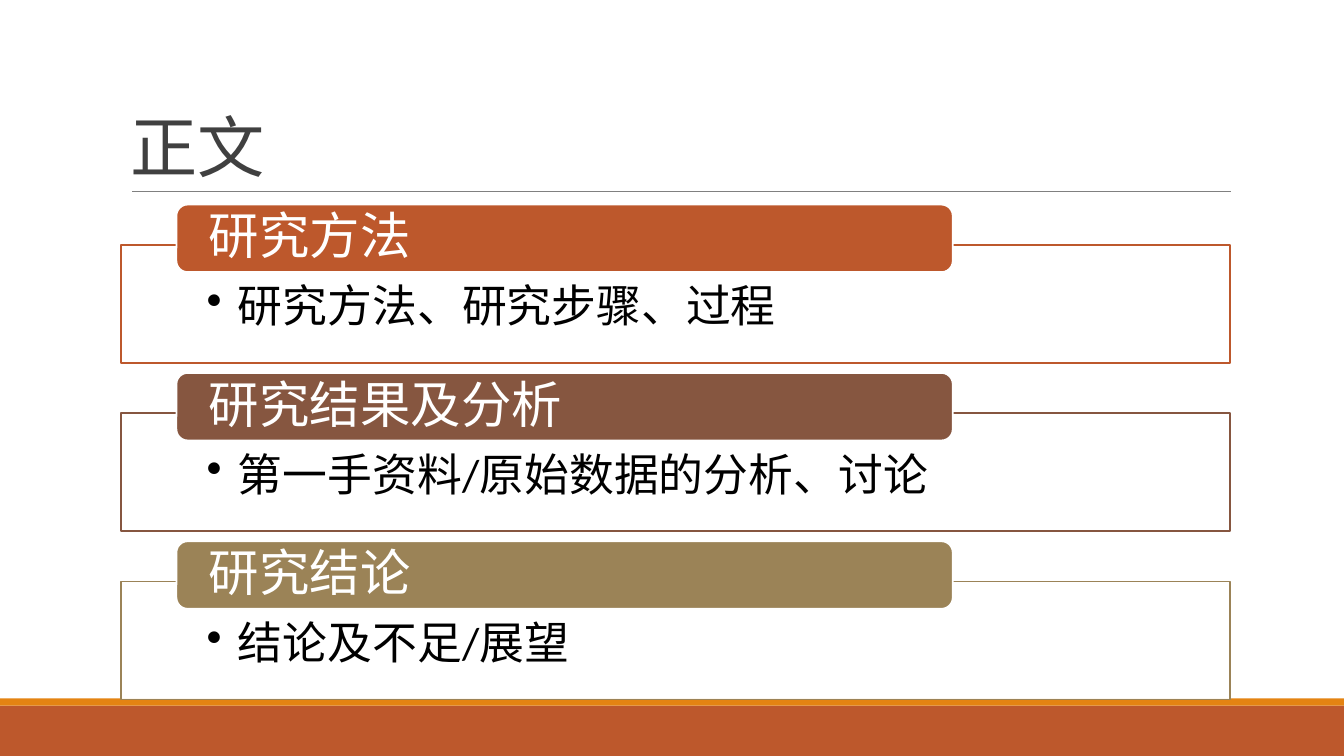
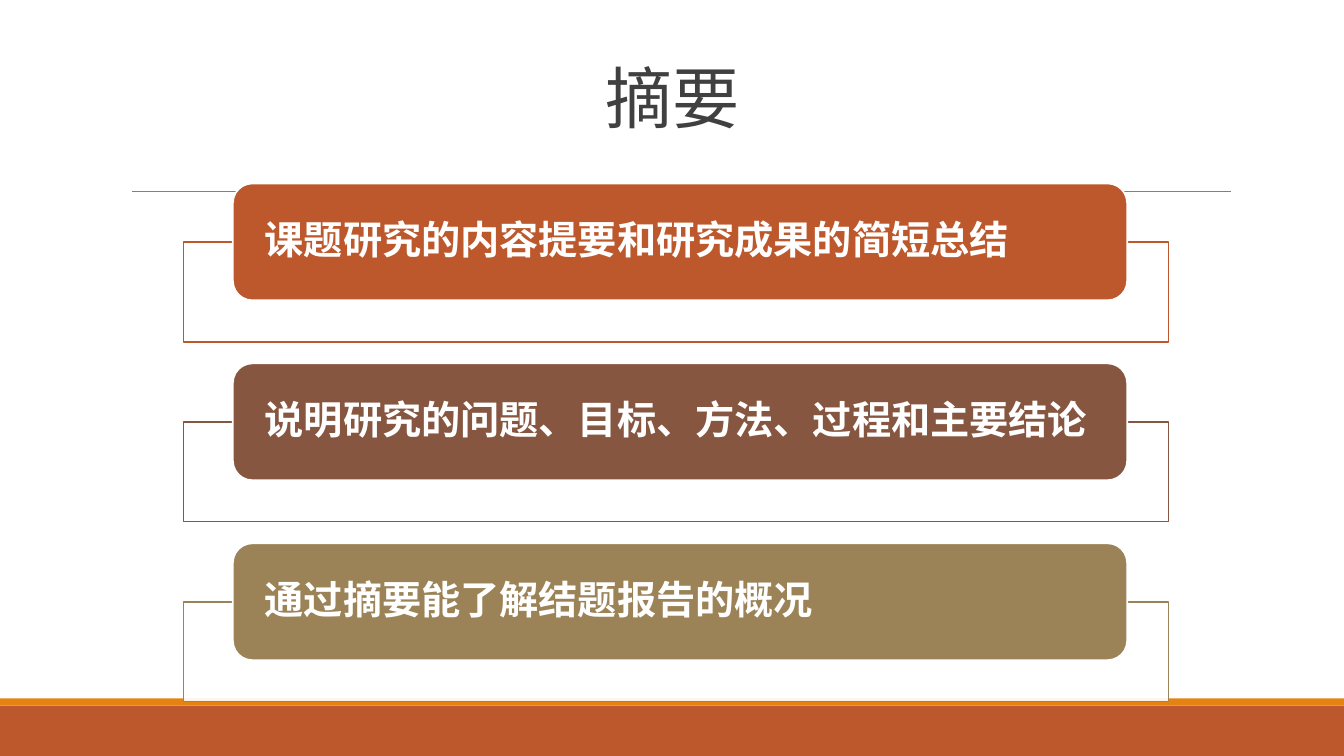
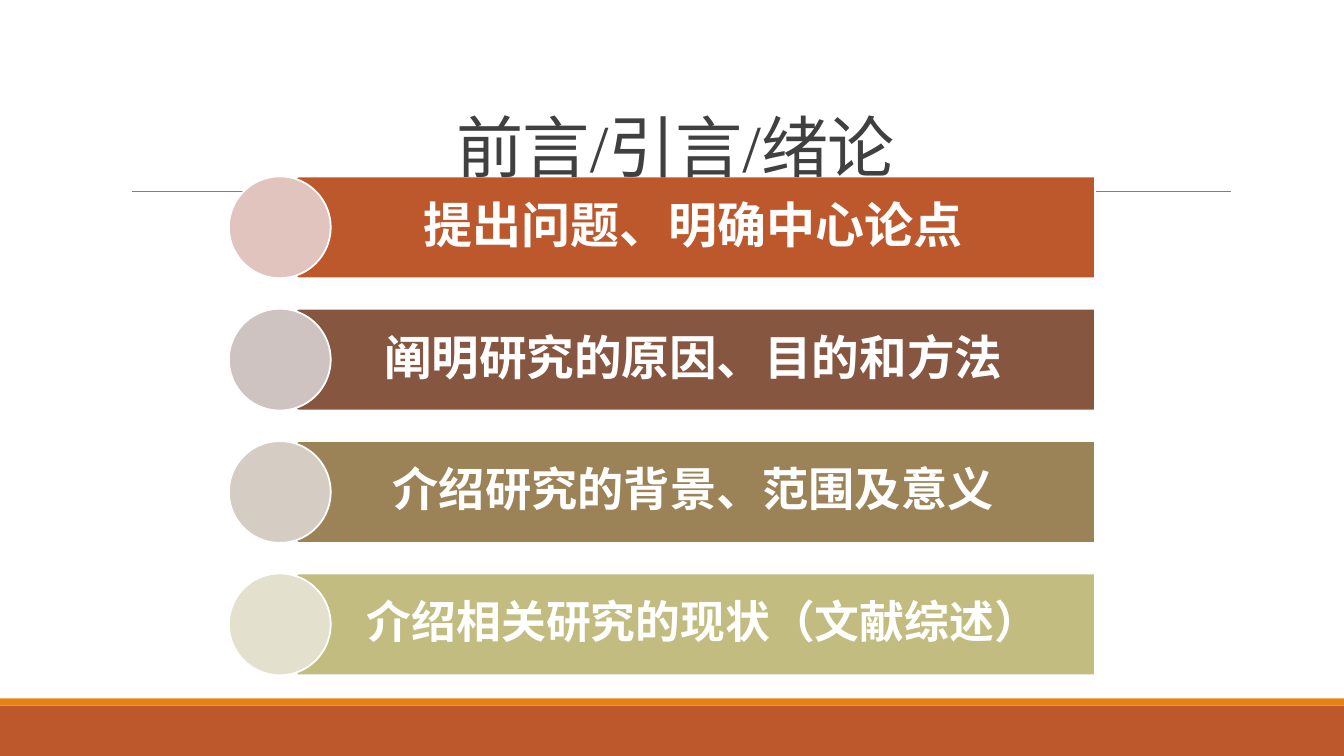
from lxml import etree
from pptx import Presentation
from pptx.dml.color import RGBColor
from pptx.enum import shapes as sh, text as tx
from pptx.oxml.ns import qn
from pptx.util import Inches, Pt

RUST, BROWN, TAN, OLIVE = "BD582C", "865640", "9B8357", "C2BC80"
ORANGE, GRAY, DARK, WHITE, BLACK = "E48312", "808080", "404040", "FFFFFF", "000000"
SHAPE = sh.MSO_SHAPE
LEFT, CENTER = tx.PP_ALIGN.LEFT, tx.PP_ALIGN.CENTER
TOP, MIDDLE, BOTTOM = tx.MSO_ANCHOR.TOP, tx.MSO_ANCHOR.MIDDLE, tx.MSO_ANCHOR.BOTTOM


def rgb(code):
    return RGBColor.from_string(code)


def inches(box):
    return [Inches(n) for n in box]


def add_shape(slide, kind, box, fill, line=None, alpha=None):
    shape = slide.shapes.add_shape(kind, *inches(box))
    shape.shadow.inherit = False
    shape.fill.solid()
    shape.fill.fore_color.rgb = rgb(fill)
    if alpha:
        color = shape.fill._xPr.find(qn("a:solidFill"))[0]
        etree.SubElement(color, qn("a:alpha"), val=str(alpha * 1000))
    if line:
        shape.line.color.rgb = rgb(line)
        shape.line.width = Pt(1.25)
    else:
        shape.line.fill.background()
    return shape


def write(shape, words, size, color=WHITE, font="Calibri", bold=False, align=LEFT,
          anchor=MIDDLE, inset=(0.1, 0.05, 0.1, 0.05), lead=0.9, track=0, bullet=0):
    """Fill a shape with one paragraph; bullet is its hanging indent in inches."""
    frame = shape.text_frame
    frame.word_wrap = True
    frame.vertical_anchor = anchor
    (frame.margin_left, frame.margin_top,
     frame.margin_right, frame.margin_bottom) = inches(inset)
    para = frame.paragraphs[0]
    para.alignment = align
    para.line_spacing = lead
    if bullet:
        props = para._p.get_or_add_pPr()
        props.set("marL", str(Inches(bullet)))
        props.set("indent", str(-Inches(bullet)))
        etree.SubElement(props, qn("a:buChar"), char="•")
    run = para.add_run()
    run.text = words
    run.font.size = Pt(size)
    run.font.name = font
    run.font.bold = bold
    run.font.color.rgb = rgb(color)
    if track:
        run._r.get_or_add_rPr().set("spc", str(int(track * 100)))


def add_text(slide, box, words, size, **style):
    write(slide.shapes.add_textbox(*inches(box)), words, size, **style)


def add_title(slide, words, box=(1.2, 0.31, 11, 1.59), align=CENTER):
    add_text(slide, box, words, 48, color=DARK, font="Times New Roman",
             align=align, anchor=BOTTOM, lead=0.85, track=-0.5)


def add_base(deck):
    """Add a blank slide with the footer bands and the title rule."""
    slide = deck.slides.add_slide(deck.slide_layouts[6])
    add_shape(slide, SHAPE.RECTANGLE, (0, 7, 13.33, 0.5), RUST)
    add_shape(slide, SHAPE.RECTANGLE, (0, 6.93, 13.33, 0.07), ORANGE)
    rule = slide.shapes.add_connector(
        sh.MSO_CONNECTOR.STRAIGHT, *inches((1.31, 1.9, 12.21, 1.9)))
    rule.line.color.rgb = rgb(GRAY)
    rule.line.width = Pt(0.5)
    etree.SubElement(rule._element.spPr, qn("a:effectLst"))
    return slide


def add_panel(slide, box, tab, color, head, size, pad, bold=False, note=None):
    """Draw an outlined box with a filled tab; tab is placed from the box corner."""
    left, top = box[:2]
    frame = add_shape(slide, SHAPE.RECTANGLE, box, WHITE, color, alpha=90)
    if note:
        write(frame, note, 32, color=BLACK, anchor=TOP,
              inset=(0.85, 0.39, 0.85, 0.25), bullet=0.31)
    dx, dy, wide, high = tab
    label = add_shape(slide, SHAPE.ROUNDED_RECTANGLE,
                      (left + dx, top + dy, wide, high), color, WHITE)
    write(label, head, size, bold=bold, inset=(pad, 0, pad, 0))


def add_arrow(slide, box, color, tint, words, size, shift):
    """Draw a bar pointing left with a disc over its tip."""
    left, top, wide, high = box
    bar = add_shape(slide, SHAPE.PENTAGON, (left + 0.18, top, wide - 0.18, high), color, WHITE)
    bar.rotation = 180
    add_text(slide, (left + 0.43, top, wide - 0.43, high), words, size, bold=True,
             align=CENTER, inset=(0.45 + shift, 0.14, 0.26, 0.14))
    add_shape(slide, SHAPE.OVAL, (left, top, high, high), tint, WHITE)


def body_slide(deck):
    slide = add_base(deck)
    add_title(slide, "正文", align=LEFT)
    rows = [
        (RUST, "研究方法", "研究方法、研究步骤、过程"),
        (BROWN, "研究结果及分析", "第一手资料/原始数据的分析、讨论"),
        (TAN, "研究结论", "结论及不足/展望"),
    ]
    for i, (color, head, note) in enumerate(rows):
        add_panel(slide, (1.2, 2.43 + 1.67 * i, 11, 1.17), (0.55, -0.4, 7.7, 0.67),
                  color, head, 36, 0.29, note=note)


def summary_slide(deck):
    slide = add_base(deck)
    rows = [
        (RUST, "课题研究的内容提要和研究成果的简短总结"),
        (BROWN, "说明研究的问题、目标、方法、过程和主要结论"),
        (TAN, "通过摘要能了解结题报告的概况"),
    ]
    for i, (color, head) in enumerate(rows):
        add_panel(slide, (1.82, 2.4 + 1.785 * i, 9.77, 0.99), (0.49, -0.58, 8.87, 1.16),
                  color, head, 28, 0.26, bold=True)
    add_title(slide, "摘要", box=(2.17, 0.16, 9, 1.25))


def intro_slide(deck):
    slide = add_base(deck)
    rows = [
        (RUST, "E1C4BE", "提出问题、明确中心论点", 35, 0),
        (BROWN, "CEC3C0", "阐明研究的原因、目的和方法", 34, 0),
        (TAN, "D5CDC3", "介绍研究的背景、范围及意义", 33, 0),
        (OLIVE, "E3E1CD", "介绍相关研究的现状（文献综述）", 32, 0.2),
    ]
    for i, row in enumerate(rows):
        add_arrow(slide, (2.27, 1.75 + 1.313 * i, 8.59, 1.01), *row)
    add_title(slide, "前言/引言/绪论")


def main():
    deck = Presentation()
    deck.slide_width, deck.slide_height = Inches(13.33), Inches(7.5)
    body_slide(deck)
    summary_slide(deck)
    intro_slide(deck)
    deck.save("out.pptx")


if __name__ == "__main__":
    main()
